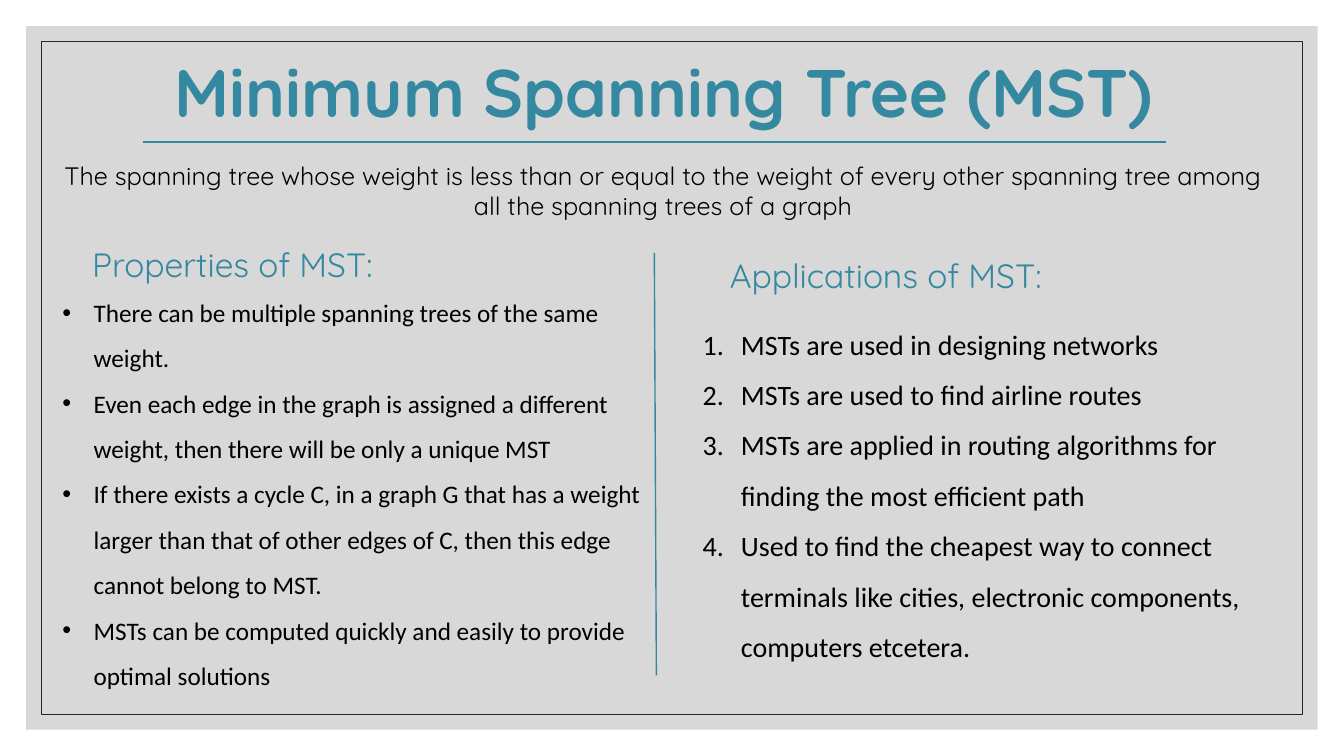
"""Build a slide on the minimum spanning tree, its properties and applications."""
from dataclasses import dataclass

import lxml.etree
import pptx
import pptx.dml.color
import pptx.enum.shapes
import pptx.enum.text
import pptx.oxml.ns
import pptx.shapes.autoshape
import pptx.shapes.connector
import pptx.slide
import pptx.text.text
import pptx.util

Inches = pptx.util.Inches
COLORS = {"panel": "BFBFBF", "frame": "262626", "accent": "3488A0", "body": "000000"}
HEADING_FONT = "Quicksand"
LIST_FONT = "Calibri"


@dataclass(frozen=True)
class TextBlock:
    """Text box with one style for all its paragraphs."""
    box: tuple[float, float, float, float]
    lines: tuple[str, ...]
    size: float
    font: str = HEADING_FONT
    color: str = "body"
    bold: bool = False
    wrap: bool = True
    spacing: float = 1.0
    marker: str = ""
    indent: float = 0.0


@dataclass(frozen=True)
class Rule:
    """Straight accent line."""
    start: tuple[float, float]
    end: tuple[float, float]
    width: float


TEXT_BLOCKS = (
    TextBlock(
        (0.54, 1.54, 12.07, 0.71),
        ("The spanning tree whose weight is less than or equal to the weight of every other "
         "spanning tree among all the spanning trees of a graph",),
        18,
    ),
    TextBlock((1.62, 0.45, 9.93, 0.91), ("Minimum Spanning Tree (MST)",), 48,
              color="accent", bold=True, wrap=False),
    TextBlock(
        (0.52, 2.75, 6.12, 4.19),
        (
            "There can be multiple spanning trees of the same weight.",
            "Even each edge in the graph is assigned a different weight, then there will be "
            "only a unique MST",
            "If there exists a cycle C, in a graph G that has a weight larger than that of "
            "other edges of C, then this edge cannot belong to MST.",
            "MSTs can be computed quickly and easily to provide optimal solutions",
        ),
        18, font=LIST_FONT, spacing=1.5, marker="bullet", indent=0.31,
    ),
    TextBlock((0.06, 2.17, 4.49, 0.63), ("Properties of MST:",), 24,
              color="accent", spacing=1.5),
    TextBlock(
        (6.87, 3.03, 6.12, 3.64),
        (
            "MSTs are used in designing networks",
            "MSTs are used to find airline routes",
            "MSTs are applied in routing algorithms for finding the most efficient path",
            "Used to find the cheapest way to connect terminals like cities, electronic "
            "components, computers etcetera.",
        ),
        20, font=LIST_FONT, spacing=1.5, marker="number", indent=0.38,
    ),
    TextBlock((6.54, 2.28, 4.49, 0.63), ("Applications of MST:",), 24,
              color="accent", spacing=1.5),
)

RULES = (
    Rule((1.42, 1.41), (11.56, 1.41), 1.5),
    Rule((6.49, 2.51), (6.51, 6.7), 1),
)


def rgb(name: str) -> pptx.dml.color.RGBColor:
    return pptx.dml.color.RGBColor.from_string(COLORS[name])


def add_rectangle(slide: pptx.slide.Slide, margin: float) -> pptx.shapes.autoshape.Shape:
    shape = slide.shapes.add_shape(
        pptx.enum.shapes.MSO_SHAPE.RECTANGLE, Inches(margin), Inches(margin),
        Inches(13.33 - 2 * margin), Inches(7.5 - 2 * margin),
    )
    shape.shadow.inherit = False
    return shape


def add_background(slide: pptx.slide.Slide) -> None:
    panel = add_rectangle(slide, 0.26)
    panel.fill.solid()
    panel.fill.fore_color.rgb = rgb("panel")
    panel.line.fill.background()
    color = panel.fill._xPr.find(".//" + pptx.oxml.ns.qn("a:srgbClr"))
    lxml.etree.SubElement(color, pptx.oxml.ns.qn("a:alpha"), val="60000")

    frame = add_rectangle(slide, 0.41)
    frame.fill.background()
    frame.line.color.rgb = rgb("frame")
    frame.line.width = pptx.util.Pt(0.5)


def add_marker(paragraph: pptx.text.text._Paragraph, marker: str, indent: float) -> None:
    properties = paragraph._p.get_or_add_pPr()
    properties.set("marL", str(Inches(indent)))
    properties.set("indent", str(-Inches(indent)))
    if marker == "bullet":
        lxml.etree.SubElement(properties, pptx.oxml.ns.qn("a:buFont"), typeface="Arial")
        lxml.etree.SubElement(properties, pptx.oxml.ns.qn("a:buChar"), char="•")
    else:
        lxml.etree.SubElement(properties, pptx.oxml.ns.qn("a:buAutoNum"), type="arabicPeriod")


def add_text(slide: pptx.slide.Slide, block: TextBlock) -> None:
    frame = slide.shapes.add_textbox(*map(Inches, block.box)).text_frame
    frame.word_wrap = block.wrap
    frame.auto_size = pptx.enum.text.MSO_AUTO_SIZE.SHAPE_TO_FIT_TEXT
    frame.text = "\n".join(block.lines)
    for paragraph in frame.paragraphs:
        paragraph.line_spacing = block.spacing
        if block.marker:
            add_marker(paragraph, block.marker, block.indent)
        else:
            paragraph.alignment = pptx.enum.text.PP_ALIGN.CENTER
        paragraph.font.name = block.font
        paragraph.font.size = pptx.util.Pt(block.size)
        paragraph.font.bold = block.bold
        paragraph.font.color.rgb = rgb(block.color)


def add_rule(slide: pptx.slide.Slide, rule: Rule) -> pptx.shapes.connector.Connector:
    connector = slide.shapes.add_connector(
        pptx.enum.shapes.MSO_CONNECTOR.STRAIGHT, *map(Inches, rule.start + rule.end)
    )
    connector.line.color.rgb = rgb("accent")
    connector.line.width = pptx.util.Pt(rule.width)
    lxml.etree.SubElement(connector._element.spPr, pptx.oxml.ns.qn("a:effectLst"))
    return connector


def main() -> None:
    presentation = pptx.Presentation()
    presentation.slide_width = Inches(13.33)
    presentation.slide_height = Inches(7.5)
    slide = presentation.slides.add_slide(presentation.slide_layouts[6])
    add_background(slide)
    for block in TEXT_BLOCKS:
        add_text(slide, block)
    for rule in RULES:
        add_rule(slide, rule)
    presentation.save("out.pptx")


if __name__ == "__main__":
    main()
